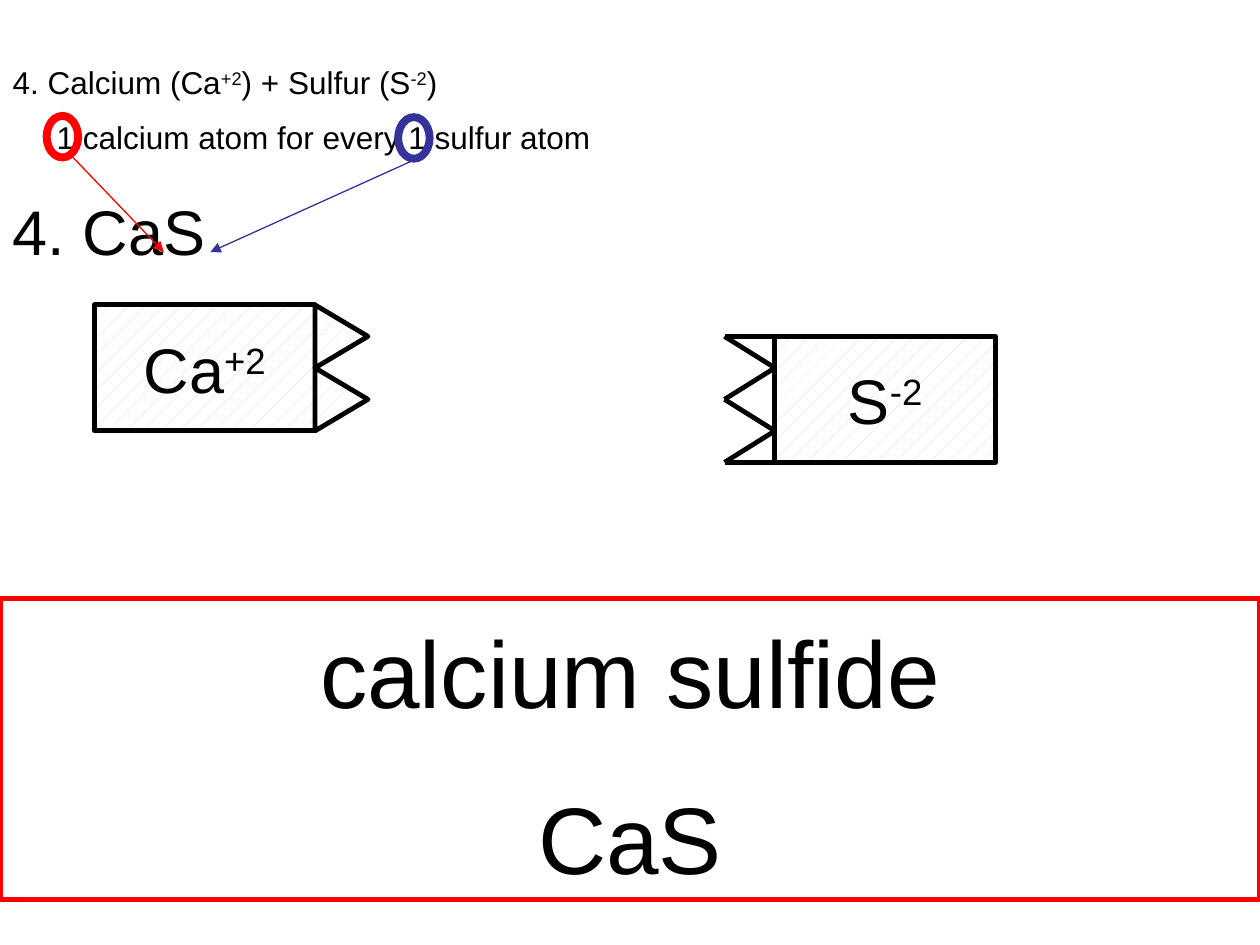
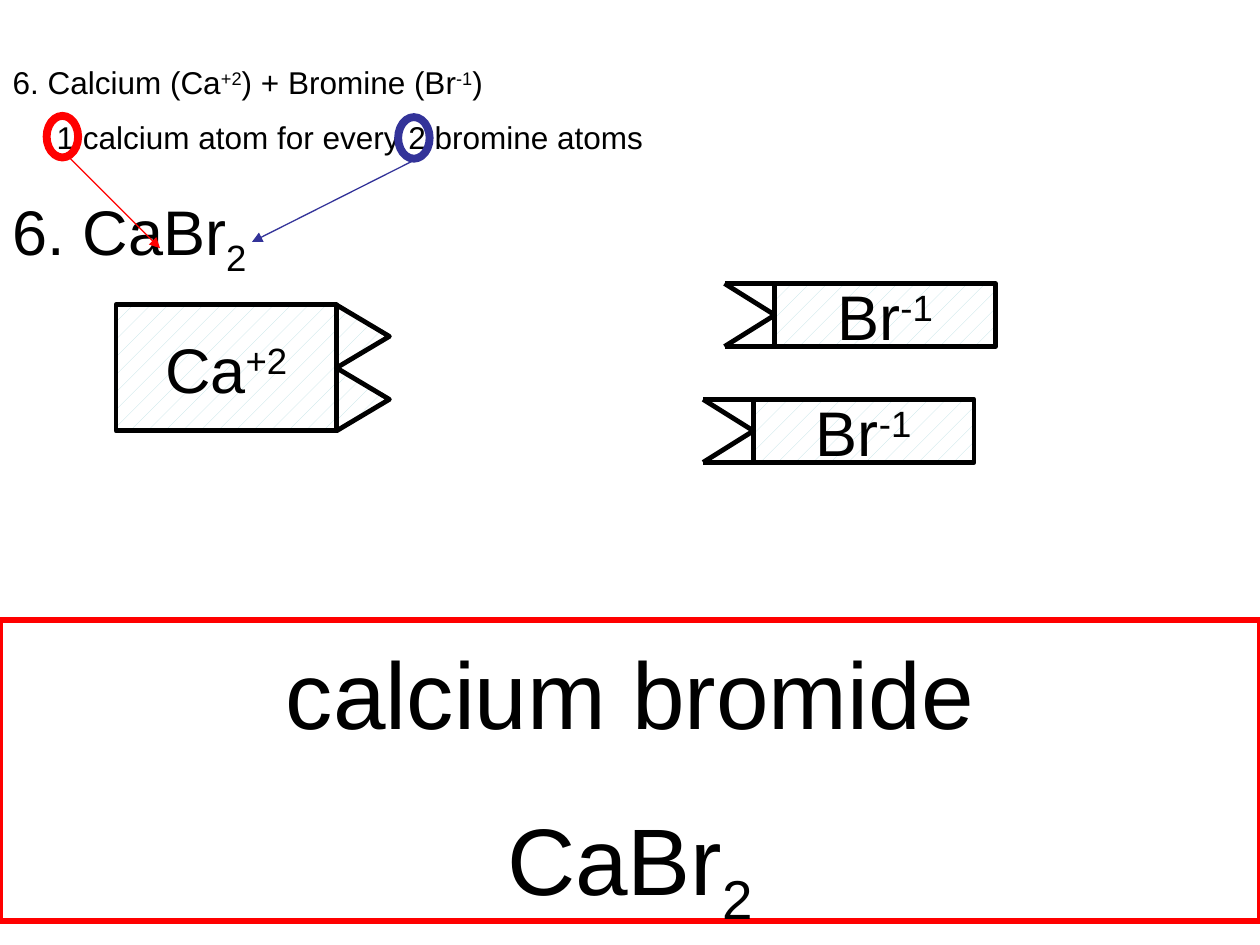
"""Build two slides that balance ionic compounds with interlocking ion blocks."""
from dataclasses import dataclass

from lxml.etree import SubElement
from pptx import Presentation
from pptx.dml.color import RGBColor
from pptx.enum.dml import MSO_PATTERN
from pptx.enum.shapes import MSO_CONNECTOR, MSO_SHAPE
from pptx.enum.text import MSO_ANCHOR, MSO_AUTO_SIZE, PP_ALIGN
from pptx.oxml.ns import qn
from pptx.util import Inches, Pt


@dataclass(frozen=True)
class Theme:
    font: str = "Arial"
    ink: RGBColor = RGBColor(0, 0, 0)
    paper: RGBColor = RGBColor(255, 255, 255)
    metal: RGBColor = RGBColor(255, 0, 0)
    nonmetal: RGBColor = RGBColor(0x33, 0x33, 0x99)
    hatch: RGBColor = RGBColor(0xBB, 0xE0, 0xE3)
    problem_size: int = 18
    formula_size: int = 36
    answer_size: int = 54
    arrow_width: float = 0.75
    block_width: float = 2.75
    answer_width: float = 3
    ring_width: float = 4.5


def write_text(paragraph, text, *, theme, size, align=PP_ALIGN.LEFT, before=0, indent=0):
    """Write text in which ^x^ is superscript and _x_ is subscript."""
    paragraph.alignment = align
    paragraph.space_before = Pt(before)
    properties = paragraph._p.get_or_add_pPr()
    properties.set("marL", str(Inches(indent)))
    properties.set("indent", "0")
    for i, section in enumerate(text.split("^")):
        for j, part in enumerate(section.split("_")):
            if not part:
                continue
            run = paragraph.add_run()
            run.text = part
            run.font.name = theme.font
            run.font.size = Pt(size)
            run.font.color.rgb = theme.ink
            baseline = 30000 if i % 2 else -25000 if j % 2 else 0
            if baseline:
                run._r.get_or_add_rPr().set("baseline", str(baseline))


class SlideBuilder:
    """Hold the theme and the slide being built."""

    block_length = 1.75
    site_height = 0.5
    tooth_length = 0.42
    notch_depth = 0.4

    def __init__(self, presentation, theme):
        self.presentation = presentation
        self.theme = theme
        self.slide = None

    def start(self):
        """Add a slide with a title placeholder."""
        self.slide = self.presentation.slides.add_slide(self.presentation.slide_layouts[5])

    def frame(self, shape, anchor, top_inset=0.05, wrap=True):
        """Prepare a shape's text frame."""
        text_frame = shape.text_frame
        text_frame.auto_size = MSO_AUTO_SIZE.NONE
        text_frame.word_wrap = wrap
        text_frame.vertical_anchor = anchor
        text_frame.margin_left = text_frame.margin_right = Inches(0.1)
        text_frame.margin_top = Inches(top_inset)
        text_frame.margin_bottom = Inches(0.05)
        return text_frame

    def problem(self, equation, ratio, formula):
        """Fill the title with the problem, its ratio and its formula."""
        title = self.slide.shapes.title
        title.left, title.top = Inches(0), Inches(0)
        title.width, title.height = Inches(5.67), Inches(2.2)
        text_frame = self.frame(title, MSO_ANCHOR.TOP, top_inset=0.5)
        theme = self.theme
        write_text(text_frame.paragraphs[0], equation, theme=theme, size=theme.problem_size)
        write_text(text_frame.add_paragraph(), ratio, theme=theme,
                   size=theme.problem_size, before=10, indent=0.35)
        write_text(text_frame.add_paragraph(), formula, theme=theme,
                   size=theme.formula_size, before=21)

    def outline(self, shapes, kind, left, top, width, height, color, line_width, hatched=False):
        """Add an outlined shape, empty or hatched."""
        shape = shapes.add_shape(kind, Inches(left), Inches(top), Inches(width), Inches(height))
        shape.shadow.inherit = False
        if hatched:
            shape.fill.patterned()
            shape.fill.pattern = MSO_PATTERN.PERCENT_5
            shape.fill.fore_color.rgb = self.theme.hatch
            shape.fill.back_color.rgb = self.theme.paper
        else:
            shape.fill.background()
        shape.line.color.rgb = color
        shape.line.width = Pt(line_width)
        return shape

    def line(self, shapes, start, end, color, width, arrow=False):
        """Add a straight line, with an arrowhead if asked."""
        connector = shapes.add_connector(
            MSO_CONNECTOR.STRAIGHT, *(Inches(value) for value in (*start, *end)))
        connector.line.color.rgb = color
        connector.line.width = Pt(width)
        if arrow:
            SubElement(connector.line._get_or_add_ln(), qn("a:tailEnd"), type="triangle")
        SubElement(connector._element.spPr, qn("a:effectLst"))
        return connector

    def ring(self, left, top, color):
        """Circle a number in the ratio."""
        self.outline(self.slide.shapes, MSO_SHAPE.OVAL, left, top, 0.25, 0.33,
                     color, self.theme.ring_width)

    def arrow(self, start, end, color):
        """Point from a circled number to the formula."""
        self.line(self.slide.shapes, start, end, color, self.theme.arrow_width, arrow=True)

    def answer(self, top, name, formula):
        """Add the framed compound name and formula."""
        theme = self.theme
        box = self.outline(self.slide.shapes, MSO_SHAPE.RECTANGLE, 0, top, 10, 2.39,
                           theme.metal, theme.answer_width)
        text_frame = self.frame(box, MSO_ANCHOR.TOP, top_inset=0.12)
        write_text(text_frame.paragraphs[0], name, theme=theme,
                   size=theme.answer_size, align=PP_ALIGN.CENTER)
        write_text(text_frame.add_paragraph(), formula, theme=theme,
                   size=theme.answer_size, align=PP_ALIGN.CENTER, before=30)

    def block(self, shapes, left, top, charge, symbol):
        """Add the labelled body of an ion."""
        theme = self.theme
        body = self.outline(shapes, MSO_SHAPE.RECTANGLE, left, top, self.block_length,
                            charge * self.site_height, theme.ink, theme.block_width, hatched=True)
        text_frame = self.frame(body, MSO_ANCHOR.MIDDLE, wrap=False)
        write_text(text_frame.paragraphs[0], symbol, theme=theme,
                   size=theme.formula_size, align=PP_ALIGN.CENTER)
        return body

    def cation(self, left, top, charge, symbol):
        """Add a positive ion with one tooth per charge."""
        shapes = self.slide.shapes.add_group_shape().shapes
        self.block(shapes, left, top, charge, symbol)
        shift = (self.site_height - self.tooth_length) / 2
        for site in range(charge):
            tooth = self.outline(
                shapes, MSO_SHAPE.ISOSCELES_TRIANGLE, left + self.block_length - shift,
                top + shift + site * self.site_height, self.site_height, self.tooth_length,
                self.theme.ink, self.theme.block_width, hatched=True)
            tooth.rotation = 90

    def anion(self, left, top, charge, symbol):
        """Add a negative ion with one notch per charge."""
        shapes = self.slide.shapes.add_group_shape().shapes
        body = self.block(shapes, left, top, charge, symbol)
        style = self.theme.ink, self.theme.block_width
        tip = left - self.notch_depth
        bottom = top + charge * self.site_height
        for edge in (bottom, top):
            self.line(shapes, (left, edge), (tip, edge), *style)
        self.line(shapes, (left, bottom), (left, top), *style)
        for site in range(charge):
            upper = top + site * self.site_height
            root = left, upper + self.site_height / 2
            for edge in (upper, upper + self.site_height):
                side = self.line(shapes, root, (tip, edge), *style)
                if charge == 1:
                    side.begin_connect(body, 1)


def main():
    """Build and save the slides."""
    theme = Theme()
    presentation = Presentation()
    presentation.slide_width, presentation.slide_height = Inches(10), Inches(7.5)
    builder = SlideBuilder(presentation, theme)
    compounds = [
        dict(
            problem=("4. Calcium (Ca^+2^) + Sulfur (S^-2^)",
                     "1 calcium atom for every 1 sulfur atom", "4. CaS"),
            metal_arrow=((0.58, 1.25), (1.3, 2)),
            nonmetal_arrow=((3.33, 1.25), (1.67, 2)),
            answer=(4.75, "calcium sulfide", "CaS"),
            cation=(0.75, 2.42, 2, "Ca^+2^"),
            anions=[(6.15, 2.67, 2, "S^-2^")],
        ),
        dict(
            problem=("6. Calcium (Ca^+2^) + Bromine (Br^-1^)",
                     "1 calcium atom for every 2 bromine atoms", "6. CaBr_2_"),
            metal_arrow=((0.52, 1.22), (1.27, 1.97)),
            nonmetal_arrow=((3.33, 1.25), (2, 1.92)),
            answer=(4.92, "calcium bromide", "CaBr_2_"),
            cation=(0.92, 2.42, 2, "Ca^+2^"),
            anions=[(6.15, 2.25, 1, "Br^-1^"), (5.98, 3.17, 1, "Br^-1^")],
        ),
    ]
    for compound in compounds:
        builder.start()
        builder.problem(*compound["problem"])
        builder.ring(0.37, 0.92, theme.metal)
        builder.ring(3.16, 0.93, theme.nonmetal)
        builder.arrow(*compound["metal_arrow"], theme.metal)
        builder.arrow(*compound["nonmetal_arrow"], theme.nonmetal)
        builder.answer(*compound["answer"])
        builder.cation(*compound["cation"])
        for anion in compound["anions"]:
            builder.anion(*anion)
    presentation.save("out.pptx")


if __name__ == "__main__":
    main()
